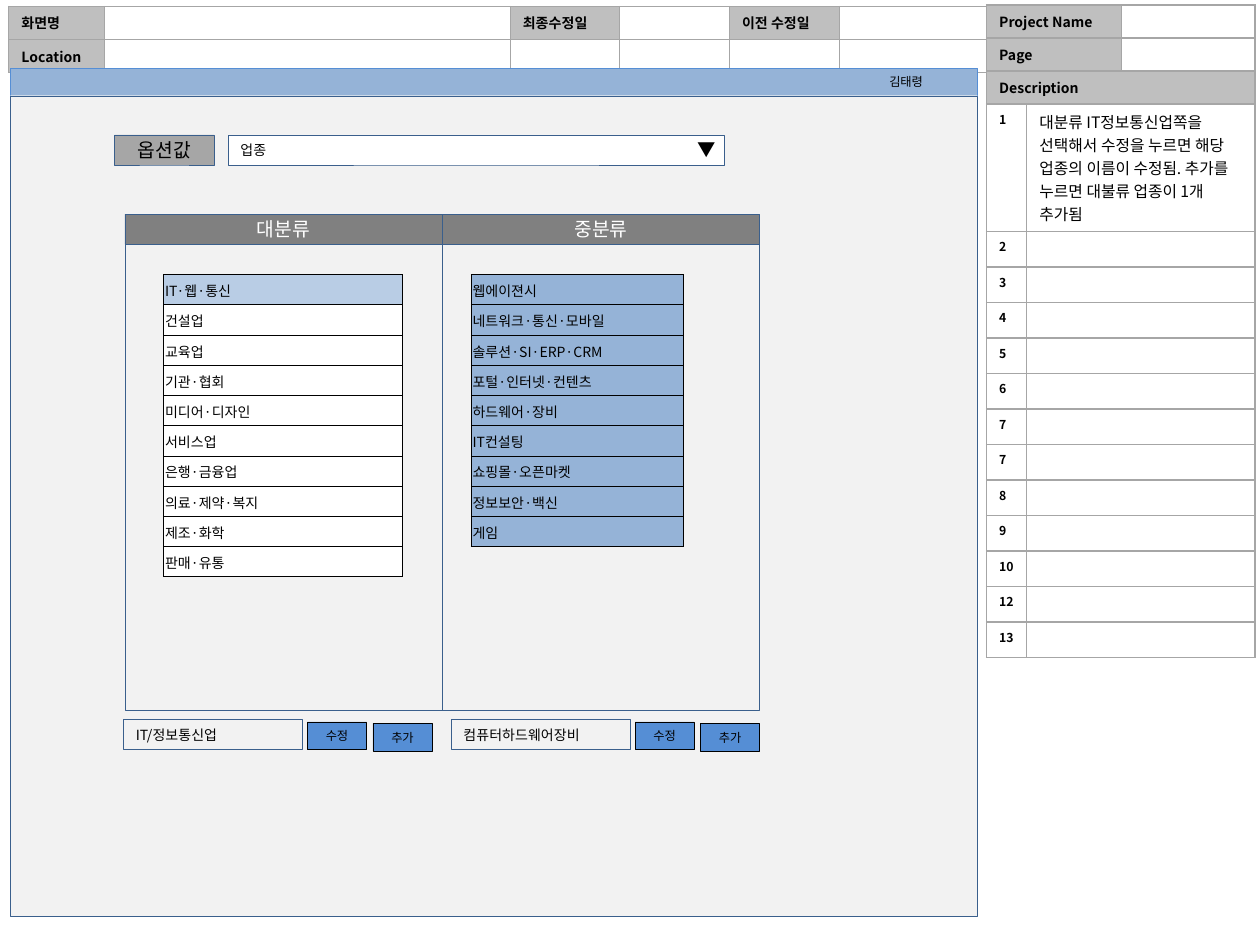
from lxml.etree import SubElement
from pptx import Presentation
from pptx.dml.color import RGBColor
from pptx.enum.shapes import MSO_SHAPE
from pptx.enum.text import MSO_ANCHOR, PP_ALIGN
from pptx.oxml.ns import qn
from pptx.util import Inches, Pt

FONT = "Noto Sans CJK KR"
HUES = {
    "black": "000000", "white": "FFFFFF", "label": "BFBFBF", "edge": "A6A6A6",
    "head": "808080", "page": "F2F2F2", "navy": "3A5F8C", "button": "558ED5",
    "bar": "95B3D7", "picked": "B9CDE5",
}


def write(frame, text, size, hue="black", bold=False, align=PP_ALIGN.LEFT):
    para = frame.paragraphs[0]
    if text:
        para.add_run().text = text
    para.alignment = align
    font = para.font
    font.name, font.size, font.bold = FONT, Pt(size), bold
    font.color.rgb = RGBColor.from_string(HUES[hue])
    SubElement(para._p.pPr.find(qn("a:defRPr")), qn("a:ea"), typeface=FONT)
    if not text:
        SubElement(para._p, qn("a:endParaRPr"), sz=str(int(size * 100)))


def dress(cell, text, size, fill, edge, widths, bold=False):
    """Fill one table cell; widths are its left, right, top, bottom borders in points."""
    props = cell._tc.get_or_add_tcPr()
    for side, width in zip("LRTB", widths):
        line = SubElement(props, qn(f"a:ln{side}"), w=str(Pt(width)))
        paint = SubElement(line, qn("a:solidFill"))
        SubElement(paint, qn("a:srgbClr"), val=HUES[edge])
    cell.fill.solid()
    cell.fill.fore_color.rgb = RGBColor.from_string(HUES[fill])
    write(cell.text_frame, text, size, bold=bold)


deck = Presentation()
deck.slide_width, deck.slide_height = Inches(10), Inches(7.5)
slide = deck.slides.add_slide(deck.slide_layouts[6])
shapes = slide.shapes

# Tables: left, top, column widths, row heights
grids = []
for left, top, cols, rows in [
    (0.07, 0.05, [0.76, 3.22, 0.87, 0.87, 0.87, 1.18], [0.26] * 2),
    (7.83, 0.04, [0.32, 0.75, 1.06], [0.26] * 3 + [1.01] + [0.28] * 12),
    (1.3, 2.18, [1.89], [0.24] * 10),
    (3.74, 2.18, [1.68], [0.24] * 9),
]:
    frame = shapes.add_table(len(rows), len(cols), Inches(left), Inches(top),
                             Inches(sum(cols)), Inches(sum(rows)))
    grid = frame.table
    for col, width in zip(grid.columns, cols):
        col.width = Inches(width)
    for row, height in zip(grid.rows, rows):
        row.height = Inches(height)
    grids.append(grid)
header, notes, major, minor = grids

# Screen header
labels = [["화면명", "", "최종수정일", "", "이전 수정일", ""], ["Location"] + [""] * 5]
for r, row in enumerate(labels):
    for c, text in enumerate(row):
        fill = "label" if text else "white"
        dress(header.cell(r, c), text, 8, fill, "edge", [0.5] * 4, True)

# Description panel
for r, text in enumerate(["Project Name", "Page", "Description"]):
    last = 2 if text == "Description" else 1
    notes.cell(r, 0).merge(notes.cell(r, last))
    dress(notes.cell(r, 0), text, 8, "label", "edge", [1] * 4, True)
    if last == 1:
        dress(notes.cell(r, 2), "", 8, "white", "edge", [1] * 4)
about = ("대분류 IT정보통신업쪽을 선택해서 수정을 누르면 해당 업종의 이름이 수정됨. "
         "추가를 누르면 대불류 업종이 1개 추가됨")
for r, mark in enumerate("1 2 3 4 5 6 7 7 8 9 10 12 13".split(), 3):
    notes.cell(r, 1).merge(notes.cell(r, 2))
    dress(notes.cell(r, 0), mark, 7, "white", "edge", [1, 0.5, 1, 1], True)
    dress(notes.cell(r, 1), about if mark == "1" else "", 9, "white", "edge", [0.5, 1, 1, 1])

# Category lists
majors = ["IT·웹·통신", "건설업", "교육업", "기관·협회", "미디어·디자인", "서비스업",
          "은행·금융업", "의료·제약·복지", "제조·화학", "판매·유통"]
minors = ["웹에이젼시", "네트워크·통신·모바일", "솔루션·SI·ERP·CRM", "포털·인터넷·컨텐츠",
          "하드웨어·장비", "IT컨설팅", "쇼핑몰·오픈마켓", "정보보안·백신", "게임"]
for grid, names, first, rest in [(major, majors, "picked", "white"),
                                 (minor, minors, "bar", "bar")]:
    for r, name in enumerate(names):
        cell = grid.cell(r, 0)
        cell.margin_left = cell.margin_right = cell.margin_top = Inches(0.01)
        cell.margin_bottom = 0
        cell.vertical_anchor = MSO_ANCHOR.MIDDLE
        dress(cell, name, 8, rest if r else first, "black", [0.5] * 4)

# Boxes: place, fill, line, text, size, text colour, alignment
mid, start = PP_ALIGN.CENTER, PP_ALIGN.LEFT
boxes = [
    (0.08, 0.54, 7.68, 0.22, "bar", "button", "", 8, "black", start),
    (0.08, 0.76, 7.68, 6.51, "page", "navy", "", 8, "black", start),
    (0.91, 1.07, 0.79, 0.24, "edge", "navy", "옵션값", 11, "black", mid),
    (1.81, 1.07, 3.94, 0.24, "white", "navy", "업종", 8, "black", start),
]
for x, title in [(0.99, "대분류"), (3.51, "중분류")]:
    boxes += [
        (x, 1.93, 2.52, 3.71, None, "navy", "", 8, "black", start),
        (x, 1.7, 2.52, 0.24, "head", "navy", title, 11, "white", mid),
    ]
for x, field in [(0.98, "IT/정보통신업"), (3.58, "컴퓨터하드웨어장비")]:
    boxes += [
        (x, 5.71, 1.42, 0.24, None, "navy", field, 8, "black", start),
        (x + 1.46, 5.73, 0.47, 0.22, "button", "black", "수정", 7, "black", mid),
        (x + 1.98, 5.74, 0.47, 0.22, "button", "black", "추가", 7, "black", mid),
    ]
back = []
for x, y, w, h, fill, line, text, size, hue, align in boxes:
    box = shapes.add_shape(MSO_SHAPE.RECTANGLE, Inches(x), Inches(y), Inches(w), Inches(h))
    box.shadow.inherit = False
    if fill:
        box.fill.solid()
        box.fill.fore_color.rgb = RGBColor.from_string(HUES[fill])
    else:
        box.fill.background()
    box.line.color.rgb = RGBColor.from_string(HUES[line])
    box.line.width = Pt(0.25)
    if text:
        box.text_frame.vertical_anchor = MSO_ANCHOR.MIDDLE
        write(box.text_frame, text, size, hue, align=align)

# Author and drop-down arrow
for x, y, w, h, text, size in [(6.96, 0.54, 0.8, 0.22, "김태령", 7),
                               (5.44, 1.05, 0.43, 0.29, "▼", 10.5)]:
    note = shapes.add_textbox(Inches(x), Inches(y), Inches(w), Inches(h)).text_frame
    note.word_wrap = True
    write(note, text, size)

# Category lists lie on top of the panels
for frame in [s for s in shapes if s.has_table][2:]:
    shapes._spTree.append(frame._element)

deck.save("out.pptx")
